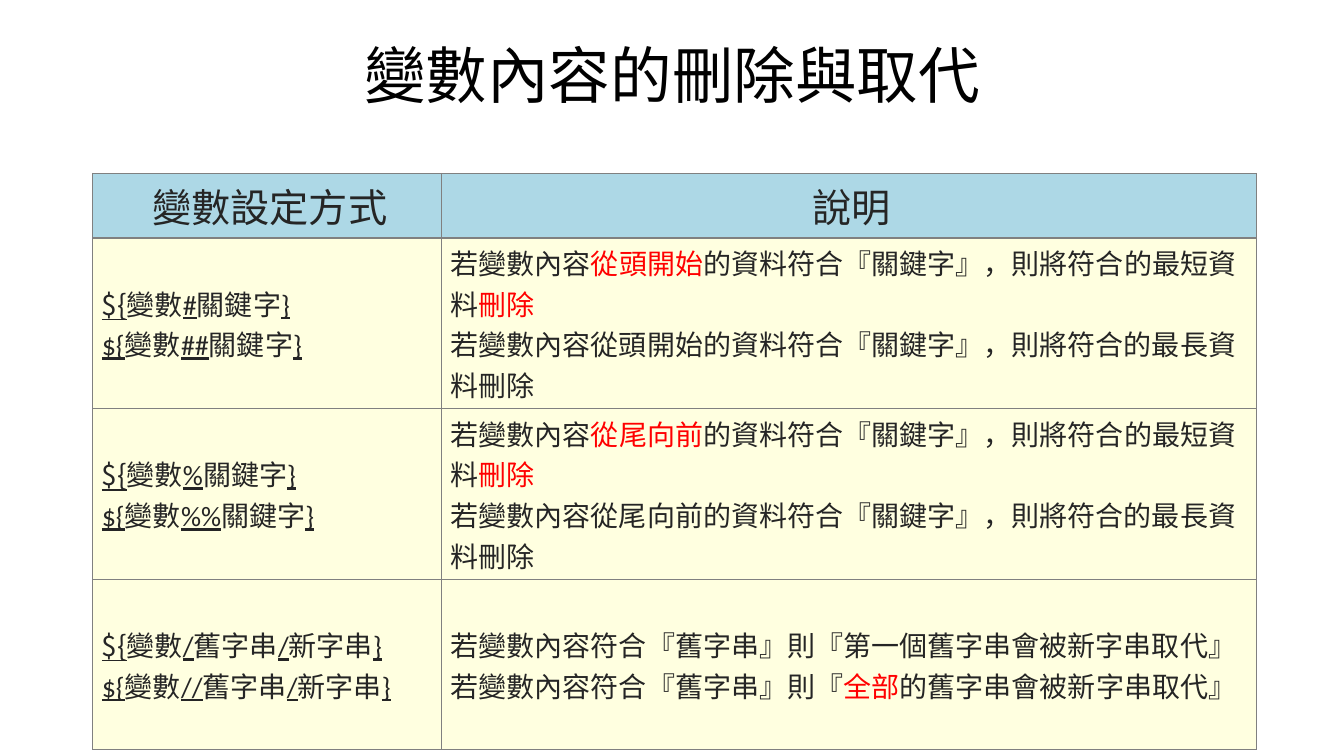
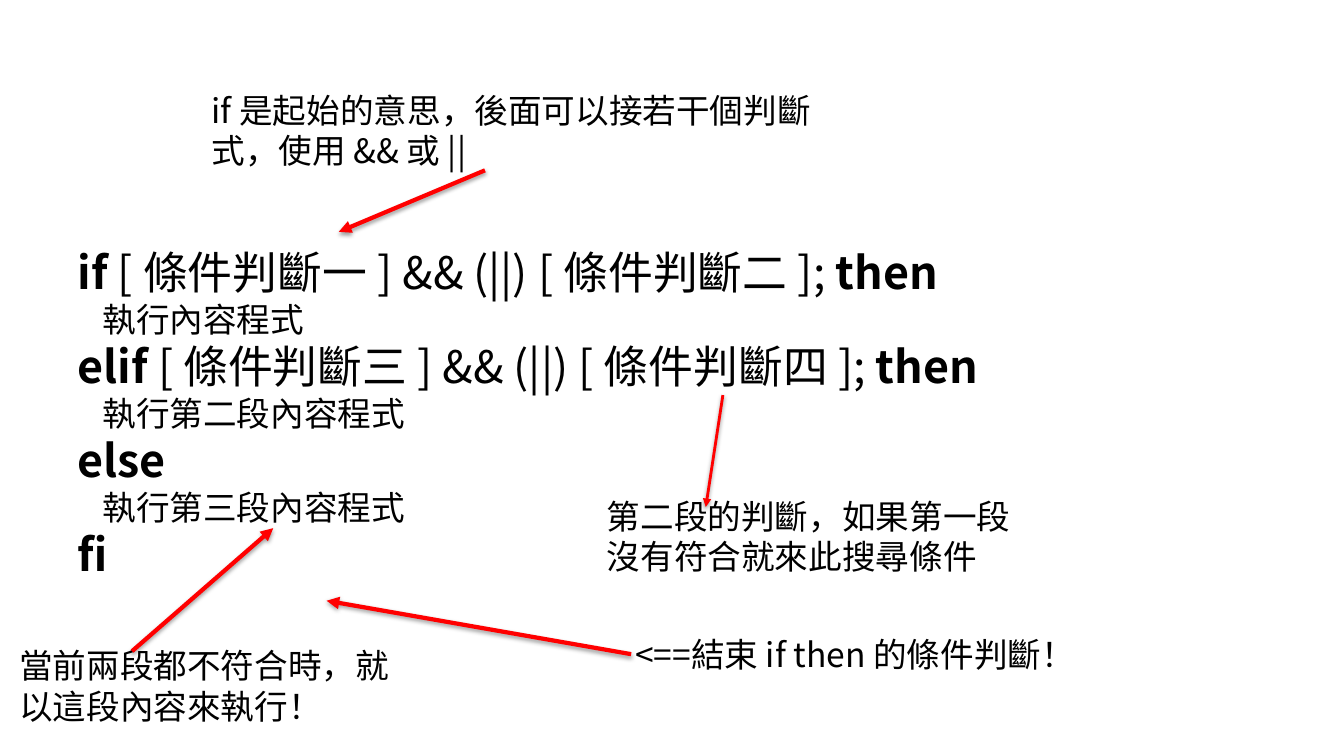
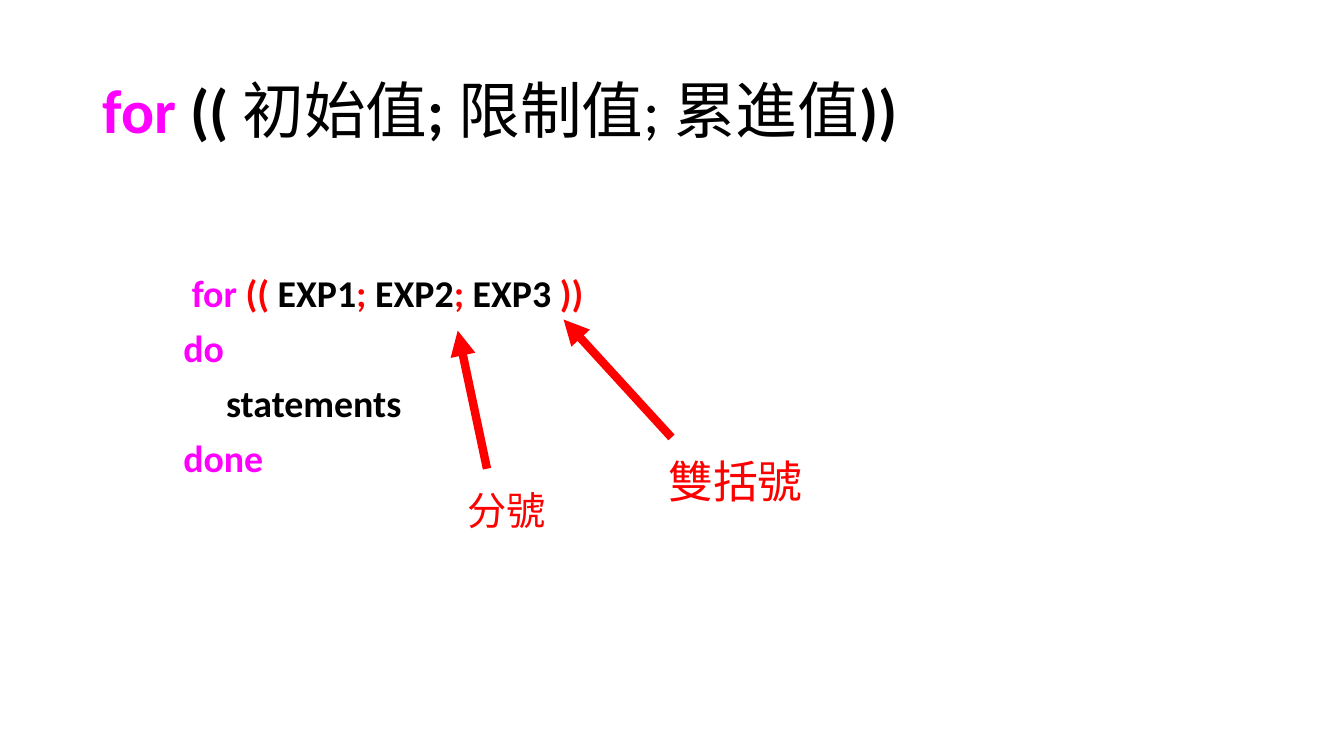
from dataclasses import dataclass

from lxml.etree import SubElement
from pptx import Presentation
from pptx.dml.color import RGBColor as Rgb
from pptx.enum.shapes import MSO_CONNECTOR as Link
from pptx.enum.text import MSO_ANCHOR as Anchor, PP_ALIGN as Align
from pptx.oxml.ns import qn
from pptx.util import Inches, Pt


@dataclass(frozen=True)
class Theme:
    black: str = "000000"
    ink: str = "252525"
    red: str = "FF0000"
    pink: str = "FF00FF"
    grid: str = "808080"
    head: str = "ADD8E6"
    cream: str = "FFFFE0"
    sans: str = "Calibri"
    serif: str = "Times New Roman"
    cjk: str = "Noto Sans CJK TC"
    title: int = 44
    code: int = 32
    label: int = 28
    script: int = 27
    note: int = 24
    cell: int = 20


T = Theme()
TITLE = (0.92, 0.4, 11.5, 1.45)
RED = {"color": T.red}
PINK = {"color": T.pink}
BOLD = {"bold": True}
PLAIN = {"bold": False}


def style(run, size=T.note, color=T.black, face=T.sans, bold=False, under=False):
    font = run.font
    font.size, font.bold, font.underline = Pt(size), bold, under
    font.color.rgb = Rgb.from_string(color)
    font.name = face
    SubElement(font._element, qn("a:ea"), typeface=T.cjk)


def write(frame, paras, align=Align.LEFT, line=1.0, gap=0, left=0, **fmt):
    """Fill a frame; a paragraph is a string or a list of strings and (text, format) pairs."""
    frame.word_wrap = True
    for i, para in enumerate(paras):
        p = frame.add_paragraph() if i else frame.paragraphs[0]
        p.alignment, p.line_spacing = align, line
        p.space_before = Pt(gap if i else 0)
        if left:
            p._p.get_or_add_pPr().set("marL", str(Inches(left)))
        for part in [para] if isinstance(para, str) else para:
            text, own = (part, {}) if isinstance(part, str) else part
            for j, piece in enumerate(text.split("\n")):
                if j:
                    p.add_line_break()
                if piece:
                    run = p.add_run()
                    run.text = piece
                    style(run, **{**fmt, **own})


def inset(obj, size):
    obj.margin_left = obj.margin_right = Inches(size)
    obj.margin_top = obj.margin_bottom = Inches(size)


def label(slide, box, paras, anchor=Anchor.TOP, pad=None, **fmt):
    frame = slide.shapes.add_textbox(*map(Inches, box)).text_frame
    frame.vertical_anchor = anchor
    if pad is not None:
        inset(frame, pad)
    write(frame, paras, **fmt)


def title(slide, para, **fmt):
    label(slide, TITLE, [para], size=T.title, line=0.9, **fmt)


def arrow(slide, start, end, weight, shade):
    link = slide.shapes.add_connector(Link.STRAIGHT, *map(Inches, (*start, *end)))
    link.line.color.rgb = Rgb.from_string(T.red)
    link.line.width = Pt(weight)
    SubElement(link.line._get_or_add_ln(), qn("a:tailEnd"), type="triangle")
    effect = SubElement(link._element.spPr, qn("a:effectLst"))
    if shade:
        cast = SubElement(effect, qn("a:outerShdw"), blurRad=str(Pt(3)),
                          dist=str(Pt(1.6)), dir="5400000", rotWithShape="0")
        tint = SubElement(cast, qn("a:srgbClr"), val=T.black)
        SubElement(tint, qn("a:alpha"), val="38000")


def note(slide, box, text, start, end, weight=3, shade=False, **fmt):
    """Place a label and its arrow; the arrow's ends are offsets from the label's corner."""
    x, y = box[:2]
    label(slide, box, [text], **fmt)
    arrow(slide, (x + start[0], y + start[1]), (x + end[0], y + end[1]), weight, shade)


def usage(*lines):
    """Split each line at its bars and underline every other part."""
    runs = []
    for i, line in enumerate(lines):
        parts = line.split("|")
        if i < len(lines) - 1:
            parts[-1] += "\n"
        runs += [(part, {"under": j % 2 == 0}) for j, part in enumerate(parts)]
    runs[0][1]["face"] = T.cjk
    return runs


def trim(place):
    """Explain the shortest and the longest match, counted from the given place."""
    rest = "的資料符合『關鍵字』，則將符合的最"
    return ["若變數內容", (place, RED), rest + "短資料", ("刪除\n", RED),
            f"若變數內容{place}{rest}長資料刪除"]


def border(cell):
    props = cell._tc.get_or_add_tcPr()
    for side in "LRTB":
        edge = SubElement(props, qn(f"a:ln{side}"), w=str(Pt(1)))
        fill = SubElement(edge, qn("a:solidFill"))
        SubElement(fill, qn("a:srgbClr"), val=T.grid)


def grid(slide, box, cols, heights, rows):
    shape = slide.shapes.add_table(len(rows), len(cols), *map(Inches, box))
    table = shape.table
    table.first_row = table.horz_banding = False
    for col, width in zip(table.columns, cols):
        col.width = Inches(width)
    for r, (row, height) in enumerate(zip(rows, heights)):
        table.rows[r].height = Inches(height)
        for c, para in enumerate(row):
            cell = table.cell(r, c)
            inset(cell, 0.04)
            cell.vertical_anchor = Anchor.MIDDLE
            border(cell)
            cell.fill.solid()
            cell.fill.fore_color.rgb = Rgb.from_string(T.cream if r else T.head)
            write(cell.text_frame, [para], left=0.05, color=T.ink,
                  align=Align.LEFT if r else Align.CENTER,
                  size=T.cell if r else T.label,
                  face=T.sans if r and not c else T.serif)


def edits(slide):
    rows = [
        ("變數設定方式", "說明"),
        (usage("${|變數|#|關鍵字|}", "${|變數|##|關鍵字|}"), trim("從頭開始")),
        (usage("${|變數|%|關鍵字|}", "${|變數|%%|關鍵字|}"), trim("從尾向前")),
        (usage("${|變數|/|舊字串|/|新字串|}", "${|變數|//|舊字串|/|新字串|}"),
         ["若變數內容符合『舊字串』則『第一個舊字串會被新字串取代』\n"
          "若變數內容符合『舊字串』則『", ("全部", RED), "的舊字串會被新字串取代』"]),
    ]
    grid(slide, (0.92, 1.72, 11.54, 5.08), (3.46, 8.08), (0.57, 0.94, 0.94, 1.69), rows)
    title(slide, "變數內容的刪除與取代", align=Align.CENTER)


def test(word, one, two):
    return [(word, BOLD), f" [ 條件判斷{one} ] && (||) [ 條件判斷{two} ]; ", ("then", BOLD)]


def step(text):
    return [("    ", {"size": T.cell}), (text, {"size": T.note})]


def branch(slide):
    code = [test("if", "一", "二"), step("執行內容程式"),
            test("elif", "三", "四"), step("執行第二段內容程式"),
            [("else", BOLD)], step("執行第三段內容程式"), [("fi", BOLD)]]
    label(slide, (0.67, 2.38, 12.67, 3.47), code, size=T.code, face=T.cjk)
    notes = [
        ((2.06, 0.85, 6.24, 0.88), "if 是起始的意思，後面可以接若干個判斷式，使用 && 或 ||",
         (2.75, 0.84), (1.3, 1.45), 3),
        ((5.98, 4.88, 4.36, 0.88), "第二段的判斷，如果第一段沒有符合就來此搜尋條件",
         (1.19, -0.96), (1.02, 0.15), 2),
        ((0.15, 6.36, 3.99, 0.88), "當前兩段都不符合時，就以這段內容來執行！",
         (1.16, 0.1), (2.56, -1.12), 3),
        ((6.26, 6.25, 4.51, 0.48), "<==結束 if then 的條件判斷！",
         (0, 0.24), (-3.02, -0.29), 3),
    ]
    for item in notes:
        note(slide, *item, shade=True, pad=0.04, face=T.cjk)


def loop(slide):
    title(slide, [("for", PINK), " (( ", ("初始值", PLAIN), "; ",
                  ("限制值; 累進值", PLAIN), "))"], bold=True, anchor=Anchor.MIDDLE)
    code = [[(" for ", PINK), ("(( ", RED), "EXP1", ("; ", RED), "EXP2", (";", RED),
             " EXP3 ", ("))", RED)],
            [("do", PINK)], "     statements", [("done", PINK)]]
    label(slide, (1.72, 2.68, 6.4, 2.18), code, size=T.script, bold=True, line=0.9, gap=10)
    note(slide, (6.53, 4.45, 1.84, 0.64), "雙括號", (0.13, -0.11), (-0.94, -1.28),
         weight=6, size=T.code, color=T.red)
    note(slide, (4.54, 4.78, 1.06, 0.57), "分號", (0.29, -0.13), (0, -1.5),
         weight=6, size=T.label, color=T.red)


def main():
    deck = Presentation()
    deck.slide_width, deck.slide_height = Inches(13.33), Inches(7.5)
    for build in (edits, branch, loop):
        build(deck.slides.add_slide(deck.slide_layouts[6]))
    deck.save("out.pptx")


if __name__ == "__main__":
    main()
